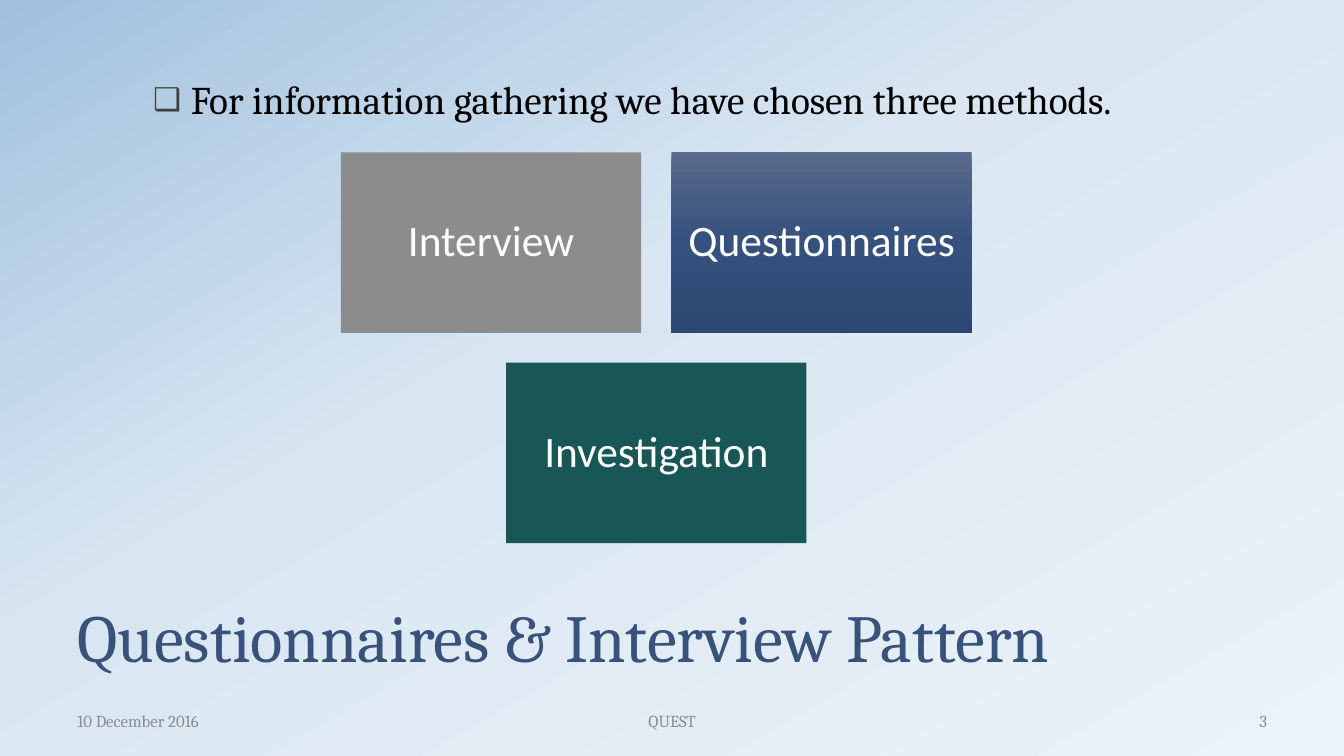
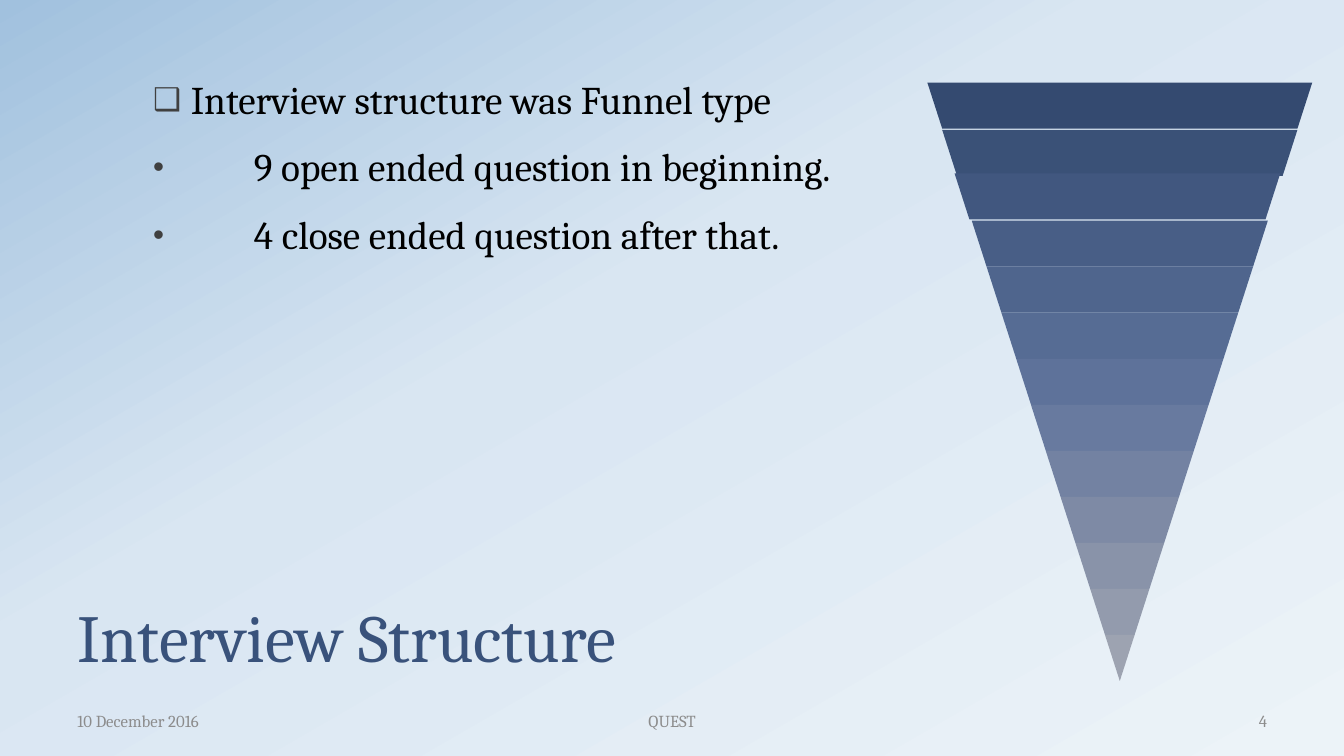
from lxml import etree
from pptx import Presentation
from pptx import util as u
from pptx.dml.color import RGBColor
from pptx.enum import shapes, text
from pptx.oxml import ns

Cm = u.Cm
SHAPE = shapes.MSO_SHAPE
ALIGN = text.PP_ALIGN
ANCHOR = text.MSO_ANCHOR

HUES = {
    "title": "39527B",
    "body": "000000",
    "mark": "404040",
    "foot": "8C8C8C",
    "label": "FFFFFF",
    "gray": "8C8C8C",
    "teal": "185756",
}
FADES = {
    "back": {0: "ECF3F8", 58: "D9E6F2", 100: "A1C1DE"},
    "blue": {0: "5A6A8B", 50: "36517E", 100: "2D4773"},
}
FUNNEL = [
    "344A70", "3A5177", "41577F", "485E86", "4F658D", "566C94", "5E729A",
    "687A9F", "7382A2", "7E8AA5", "8993A9", "939BAD", "9DA3B1",
]


def node(up, tag, **attrs):
    return etree.SubElement(up, ns.qn(tag), attrs)


def fade(fill, root, stops, angle):
    fill.gradient()
    fill.gradient_angle = angle
    stack = root.find(".//" + ns.qn("a:gsLst"))
    for old in list(stack):
        stack.remove(old)
    for place, hue in stops.items():
        stop = node(stack, "a:gs", pos=str(place * 1000))
        node(stop, "a:srgbClr", val=hue)


class Deck:
    serif = "Cambria"
    sans = "Calibri"

    def __init__(self):
        self.show = Presentation()
        self.show.slide_width = Cm(33.87)
        self.show.slide_height = Cm(19.05)
        base = self.show.slide_master
        fade(base.background.fill, base.element, FADES["back"], 120)
        self.slide = None

    def page(self, title, number):
        self.slide = self.show.slides.add_slide(self.show.slide_layouts[6])
        frame = self.frame(1.7, 14.17, 30.48, 2.97, ANCHOR.BOTTOM)
        self.words(frame.paragraphs[0], title, 48, "title", lead=0.8)
        feet = [
            (1.7, 7.9, "10 December 2016", ALIGN.LEFT),
            (11.58, 10.72, "QUEST", ALIGN.CENTER),
            (24.28, 7.9, str(number), ALIGN.RIGHT),
        ]
        for left, width, label, align in feet:
            frame = self.frame(left, 17.65, width, 1.02, ANCHOR.MIDDLE)
            self.words(frame.paragraphs[0], label, 12, "foot", align)

    def frame(self, left, top, width, height, anchor):
        box = self.slide.shapes.add_textbox(
            Cm(left), Cm(top), Cm(width), Cm(height))
        box.text_frame.word_wrap = True
        box.text_frame.vertical_anchor = anchor
        return box.text_frame

    def words(self, para, label, size, hue, align=ALIGN.LEFT, lead=1.0,
              face=None):
        para.alignment = align
        para.line_spacing = lead
        run = para.add_run()
        run.text = label
        run.font.size = u.Pt(size)
        run.font.name = face or self.serif
        run.font.color.rgb = RGBColor.from_string(HUES[hue])

    def points(self, items):
        frame = self.frame(3.61, 1.9, 28.58, 11.63, ANCHOR.TOP)
        for row, (char, indent, label) in enumerate(items):
            para = frame.add_paragraph() if row else frame.paragraphs[0]
            self.words(para, label, 28, "body", lead=0.9)
            para.space_before = u.Pt(18)
            self.mark(para, char, indent)

    def mark(self, para, char, indent):
        props = para._p.get_or_add_pPr()
        props.set("marL", str(int(Cm(indent))))
        props.set("indent", str(-int(Cm(indent))))
        node(node(props, "a:buClr"), "a:srgbClr", val=HUES["mark"])
        node(props, "a:buSzPct", val="80000")
        node(props, "a:buFont", typeface="Arial")
        node(props, "a:buChar", char=char)

    def shape(self, kind, left, top, width, height, hue=None):
        item = self.slide.shapes.add_shape(
            kind, Cm(left), Cm(top), Cm(width), Cm(height))
        item.shadow.inherit = False
        item.line.fill.background()
        if hue:
            item.fill.solid()
            item.fill.fore_color.rgb = RGBColor.from_string(hue)
        return item

    def card(self, left, top, label, hue):
        item = self.shape(SHAPE.RECTANGLE, left, top, 7.57, 4.55,
                          HUES.get(hue))
        if hue in FADES:
            fade(item.fill, item.element, FADES[hue], 270)
        frame = item.text_frame
        frame.word_wrap = True
        frame.vertical_anchor = ANCHOR.MIDDLE
        frame.margin_left = frame.margin_right = Cm(0.33)
        frame.margin_top = frame.margin_bottom = Cm(0.33)
        self.words(frame.paragraphs[0], label, 31, "label", ALIGN.CENTER,
                   0.9, self.sans)

    def funnel(self, mid, top, width, step, hues, nudges):
        count = len(hues)
        for row, hue in enumerate(hues):
            right, down = nudges.get(row, (0, 0))
            span = width * (count - row) / count
            item = self.shape(SHAPE.TRAPEZOID, mid - span / 2 + right,
                              top + row * step + down, span, step, hue)
            item.rotation = 180
            item.adjustments[0] = 0.5 if row == count - 1 else 0.322


def main():
    deck = Deck()

    deck.page("Questionnaires & Interview Pattern", 3)
    deck.points([
        ("❑", 0.95, "For information gathering we have chosen three methods."),
    ])
    cards = [
        (0, 0, "Interview", "gray"),
        (1, 0, "Questionnaires", "blue"),
        (0.5, 1, "Investigation", "teal"),
    ]
    for col, row, label, hue in cards:
        deck.card(8.59 + col * 8.33, 3.84 + row * 5.3, label, hue)

    deck.page("Interview Structure", 4)
    deck.points([
        ("❑", 0.95, "Interview structure was Funnel type"),
        ("•", 2.54, "9 open ended question in beginning."),
        ("•", 2.54, "4 close ended question after that."),
    ])
    deck.funnel(28.22, 2.08, 9.7, 1.16, FUNNEL,
                {1: (0, 0.03), 2: (-0.06, -0.03)})

    deck.show.save("out.pptx")


if __name__ == "__main__":
    main()
